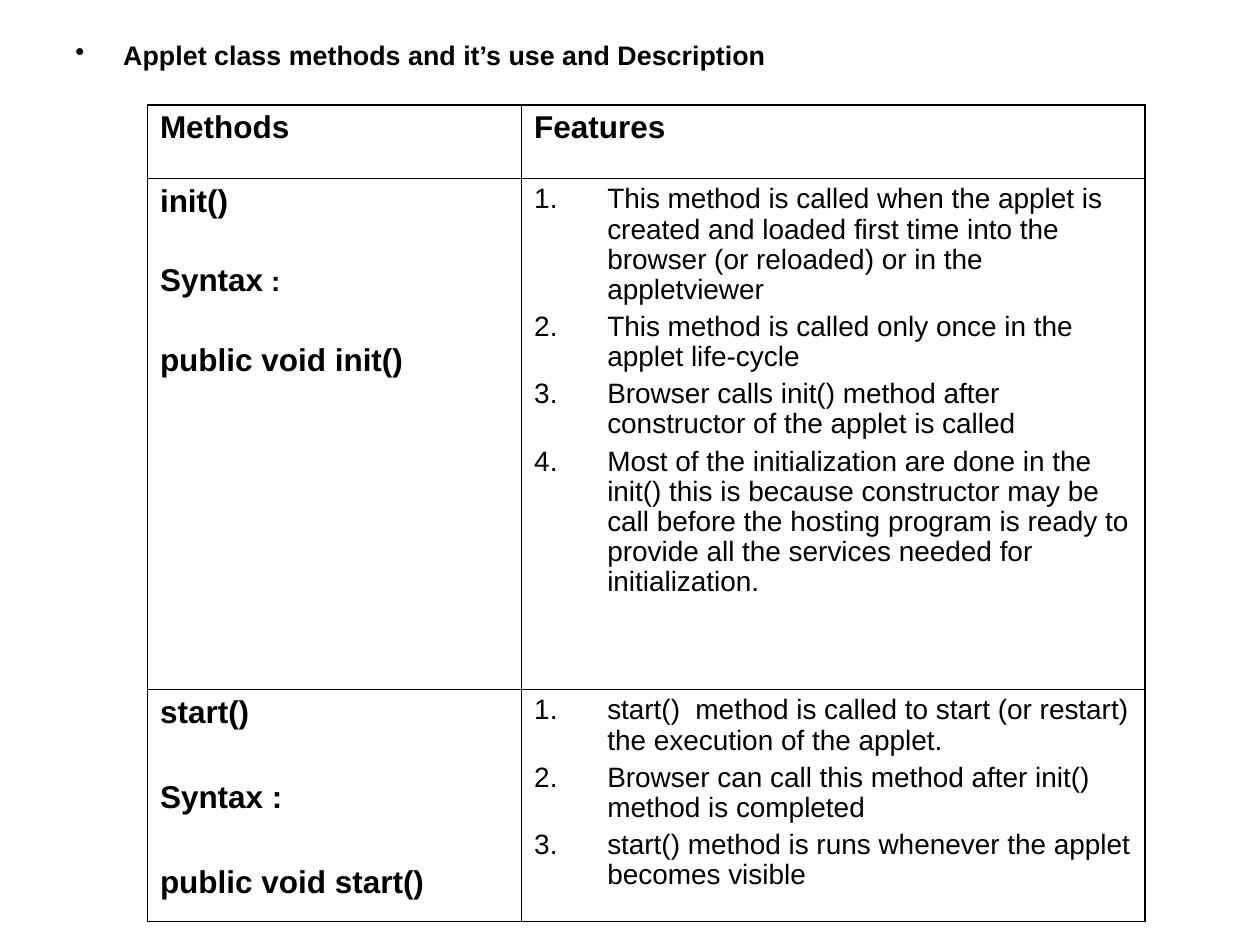
import lxml.etree
import pptx
import pptx.dml.color
import pptx.oxml.ns
import pptx.util

SLIDE_WIDTH = pptx.util.Inches(10)
SLIDE_HEIGHT = pptx.util.Inches(7.5)
COLORS = {"ink": "000000"}
FONT_NAME = "Arial"
LINE_SPACING = 0.97
OUTER_BORDER, INNER_BORDER = 1.08, 0.45
COLUMN_SHARES = (0.375, 0.625)
ROW_SHARES = (0.09, 0.626, 0.284)

HEADING = "Applet class methods and it’s use and Description"
HEADERS = ("Methods", "Features")
METHODS = [
    {
        "signature": [["init()"], ["Syntax", " :"], ["public void init()"]],
        "gap": 25.9,
        "features": [
            "This method is called when the applet is created and loaded first time "
            "into the browser (or reloaded) or in the appletviewer",
            "This method is called only once in the applet life-cycle",
            "Browser calls init() method after constructor of the applet is called",
            "Most of the initialization are done in the init() this is because "
            "constructor may be call before the hosting program is ready to provide "
            "all the services needed for initialization.",
        ],
    },
    {
        "signature": [["start()"], ["Syntax :"], ["public void start()"]],
        "gap": 29.2,
        "features": [
            "start()  method is called to start (or restart) the execution of the applet.",
            "Browser can call this method after init() method is completed",
            "start() method is runs whenever the applet becomes visible",
        ],
    },
]


def color(name):
    """Return a named colour as an RGB value."""
    return pptx.dml.color.RGBColor.from_string(COLORS[name])


def add_element(parent, tag, **attributes):
    """Append a DrawingML element and return it."""
    return lxml.etree.SubElement(parent, pptx.oxml.ns.qn(tag), attributes)


def add_bullet(paragraph, indent, tag, **attributes):
    """Give a paragraph a hanging bullet or number."""
    properties = paragraph._p.get_or_add_pPr()
    properties.set("marL", str(pptx.util.Inches(indent)))
    properties.set("indent", str(-pptx.util.Inches(indent)))
    add_element(add_element(properties, "a:buClr"), "a:srgbClr", val=COLORS["ink"])
    add_element(properties, tag, **attributes)


def style_font(paragraph, size, bold):
    """Set the shared typeface on a paragraph."""
    font = paragraph.font
    font.name, font.size, font.bold = FONT_NAME, pptx.util.Pt(size), bold
    font.color.rgb = color("ink")


def add_paragraphs(frame, items, gap=0):
    """Fill a text frame with lists of runs and yield each paragraph."""
    for index, texts in enumerate(items):
        paragraph = frame.add_paragraph() if index else frame.paragraphs[0]
        for text in texts:
            paragraph.add_run().text = text
        paragraph.line_spacing = LINE_SPACING
        if index:
            paragraph.space_before = pptx.util.Pt(gap)
        yield paragraph


def fill_signature(cell, lines, gap=0):
    """Write bold lines; a trailing second run is set smaller."""
    for paragraph in add_paragraphs(cell.text_frame, lines, gap):
        style_font(paragraph, 18, True)
        for run in paragraph.runs[1:]:
            run.font.size = pptx.util.Pt(16)


def fill_features(cell, features):
    """Write a numbered list of features."""
    items = [[feature] for feature in features]
    for paragraph in add_paragraphs(cell.text_frame, items, 4):
        add_bullet(paragraph, 0.58, "a:buAutoNum", type="arabicPeriod")
        style_font(paragraph, 16, False)


def style_cell(cell, outer_sides):
    """Draw the four borders of a cell and clear its fill."""
    properties = cell._tc.get_or_add_tcPr()
    for side in "LRTB":
        width = OUTER_BORDER if side in outer_sides else INNER_BORDER
        line = add_element(properties, f"a:ln{side}", w=str(pptx.util.Pt(width)))
        add_element(add_element(line, "a:solidFill"), "a:srgbClr", val=COLORS["ink"])
    cell.fill.background()


def add_heading(slide, left, top, width, height):
    """Place the bulleted heading in the given box."""
    frame = slide.shapes.add_textbox(left, top, width, height).text_frame
    frame.word_wrap = True
    for paragraph in add_paragraphs(frame, [[HEADING]]):
        add_bullet(paragraph, 0.38, "a:buChar", char="•")
        style_font(paragraph, 15.3, True)


def add_methods_table(slide, left, top, width, height):
    """Place the table of methods and features in the given box."""
    row_count, column_count = len(ROW_SHARES), len(COLUMN_SHARES)
    table = slide.shapes.add_table(
        row_count, column_count, left, top, width, height
    ).table
    table.first_row = table.horz_banding = False
    for column, share in zip(table.columns, COLUMN_SHARES):
        column.width = int(width * share)
    for row, share in zip(table.rows, ROW_SHARES):
        row.height = int(height * share)
    for row in range(row_count):
        for column in range(column_count):
            outer = {
                "L": column == 0,
                "R": column == column_count - 1,
                "T": row == 0,
                "B": row == row_count - 1,
            }
            style_cell(table.cell(row, column), [side for side in outer if outer[side]])
    for column, header in enumerate(HEADERS):
        fill_signature(table.cell(0, column), [[header]])
    for row, method in enumerate(METHODS, 1):
        fill_signature(table.cell(row, 0), method["signature"], method["gap"])
        fill_features(table.cell(row, 1), method["features"])


def slide_box(left, top, width, height):
    """Turn shares of the slide into lengths."""
    return (
        int(SLIDE_WIDTH * left),
        int(SLIDE_HEIGHT * top),
        int(SLIDE_WIDTH * width),
        int(SLIDE_HEIGHT * height),
    )


def main():
    """Build and save the presentation."""
    presentation = pptx.Presentation()
    presentation.slide_width, presentation.slide_height = SLIDE_WIDTH, SLIDE_HEIGHT
    slide = presentation.slides.add_slide(presentation.slide_layouts[6])
    add_heading(slide, *slide_box(0.05, 0.036, 0.9, 0.077))
    add_methods_table(slide, *slide_box(0.117, 0.111, 0.792, 0.864))
    presentation.save("out.pptx")


if __name__ == "__main__":
    main()
